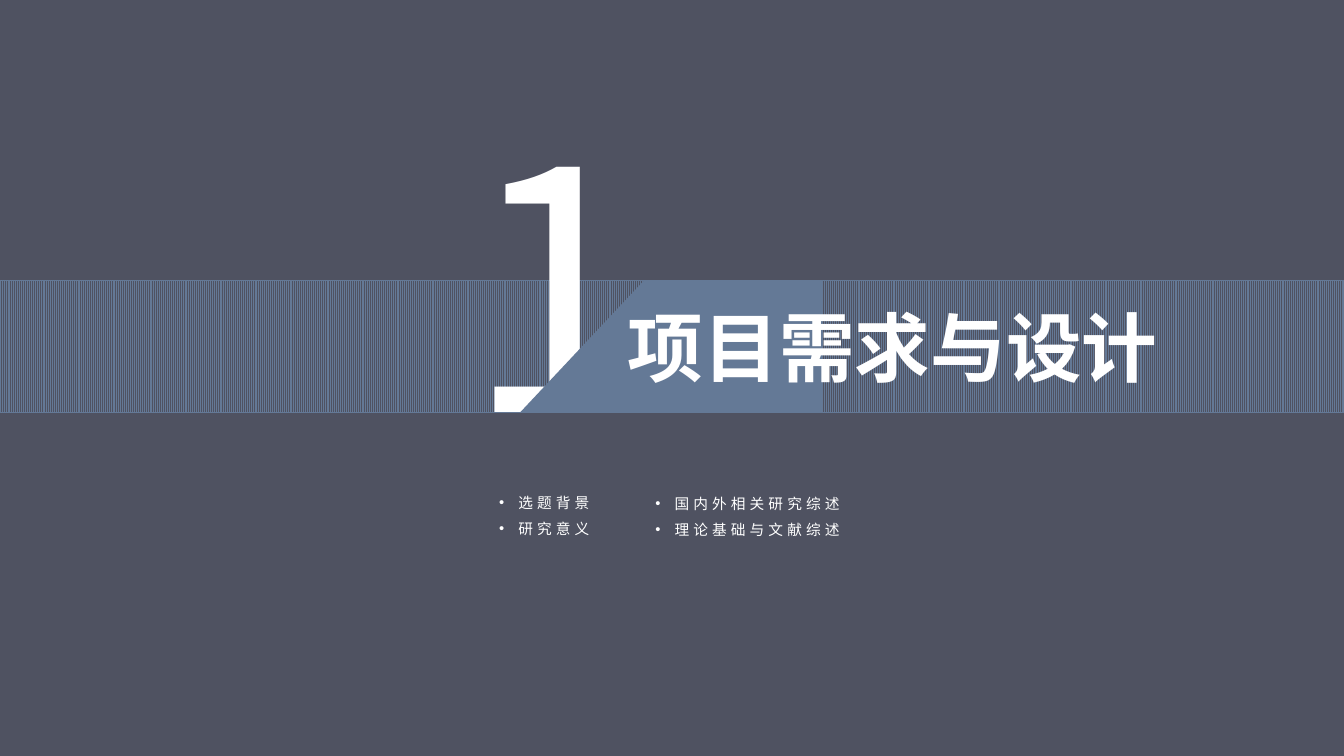
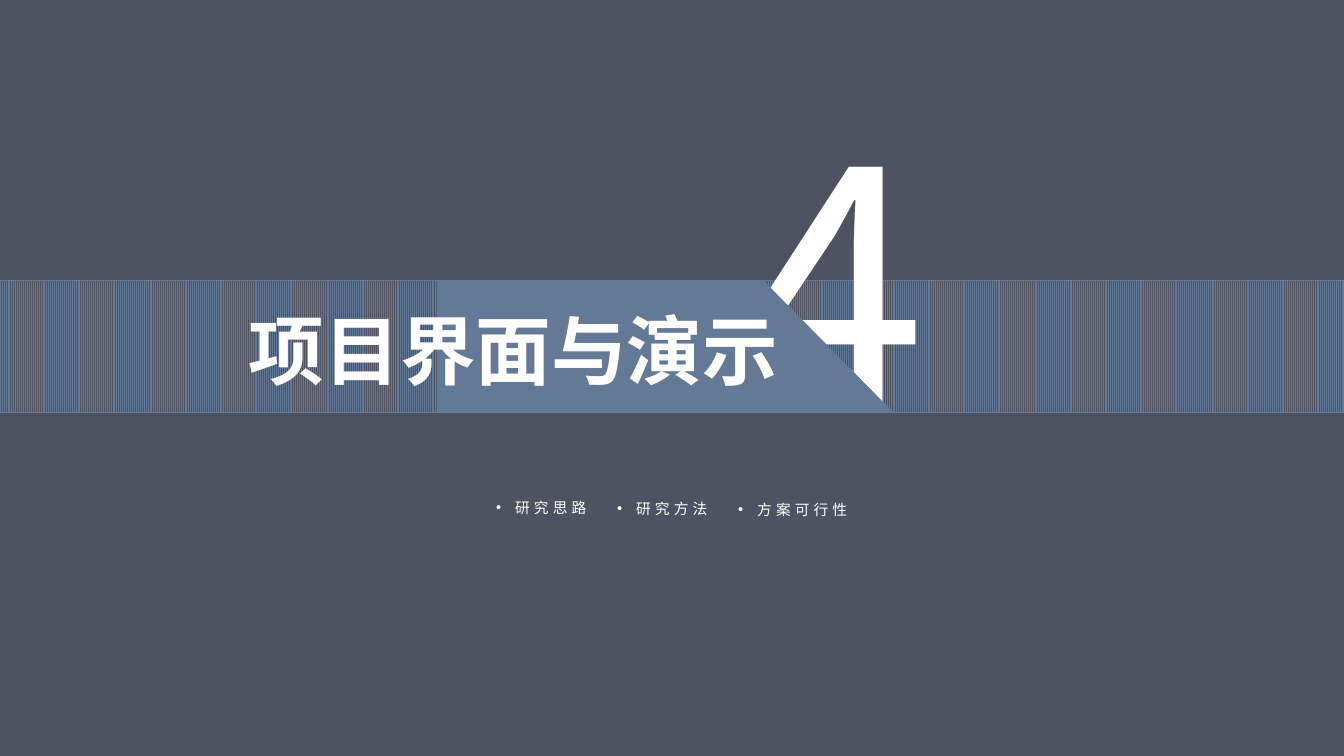
from dataclasses import dataclass
from lxml.etree import SubElement
from pptx import Presentation
from pptx.dml.color import RGBColor
from pptx.enum.dml import MSO_PATTERN
from pptx.enum.shapes import MSO_SHAPE
from pptx.enum.text import MSO_AUTO_SIZE
from pptx.oxml.ns import qn
from pptx.util import Inches, Pt


@dataclass(frozen=True)
class Theme:
    backdrop: RGBColor = RGBColor(0x4F, 0x52, 0x61)
    accent: RGBColor = RGBColor(0x64, 0x79, 0x96)
    text: RGBColor = RGBColor(0xFF, 0xFF, 0xFF)
    heading_font: str = "Noto Sans CJK SC"
    topic_font: str = "Roboto Condensed"
    number_size: float = 239
    title_size: float = 54
    topic_size: float = 10.5
    topic_tracking: int = 300


THEME = Theme()
WIDTH, HEIGHT = 13.33, 7.5
BAND_TOP, BAND_HEIGHT = 2.78, 1.31
BAND_BOTTOM = BAND_TOP + BAND_HEIGHT

SECTIONS = [
    {
        "number": "1",
        "number_left": 4.52,
        "title": "项目需求与设计",
        "title_at": (6.13, 2.94),
        "panel_top": (6.39, 8.15),
        "panel_bottom": (5.16, 8.15),
        "topics": [
            ((4.95, 4.81, 2.05, 0.5), ["选题背景", "研究意义"]),
            ((6.5, 4.82, 2.05, 0.5), ["国内外相关研究综述", "理论基础与文献综述"]),
        ],
    },
    {
        "number": "4",
        "number_left": 7.25,
        "title": "项目界面与演示",
        "title_at": (2.37, 2.97),
        "panel_top": (4.33, 7.57),
        "panel_bottom": (4.33, 8.86),
        "topics": [
            ((4.92, 4.86, 1.04, 0.23), ["研究思路"]),
            ((6.12, 4.87, 1.04, 0.23), ["研究方法"]),
            ((7.32, 4.88, 1.28, 0.23), ["方案可行性"]),
        ],
    },
]


def add_bullet(paragraph):
    props = paragraph._p.get_or_add_pPr()
    props.set("marL", str(Inches(0.19)))
    props.set("indent", str(-Inches(0.19)))
    color = SubElement(props, qn("a:buClr"))
    SubElement(color, qn("a:srgbClr")).set("val", str(THEME.text))
    SubElement(props, qn("a:buFont")).set("typeface", "Arial")
    SubElement(props, qn("a:buChar")).set("char", "•")
    paragraph.line_spacing = 1.5


def add_text(slide, at, lines, *, size, font, bold=False, bulleted=False, tracking=0):
    box = slide.shapes.add_textbox(*map(Inches, at))
    frame = box.text_frame
    frame.word_wrap = bulleted
    frame.auto_size = MSO_AUTO_SIZE.SHAPE_TO_FIT_TEXT
    if bulleted:
        frame.margin_left = frame.margin_right = 0
        frame.margin_top = frame.margin_bottom = 0
    for index, line in enumerate(lines):
        paragraph = frame.add_paragraph() if index else frame.paragraphs[0]
        if bulleted:
            add_bullet(paragraph)
        run = paragraph.add_run()
        run.text = line
        run.font.size = Pt(size)
        run.font.name = font
        run.font.bold = bold
        run.font.color.rgb = THEME.text
        props = run._r.get_or_add_rPr()
        SubElement(props, qn("a:ea")).set("typeface", THEME.heading_font)
        if tracking:
            props.set("spc", str(tracking))


def add_band(slide):
    band = slide.shapes.add_shape(
        MSO_SHAPE.RECTANGLE, 0, Inches(BAND_TOP), Inches(WIDTH), Inches(BAND_HEIGHT)
    )
    band.shadow.inherit = False
    band.fill.patterned()
    band.fill.pattern = MSO_PATTERN.LIGHT_VERTICAL
    band.fill.fore_color.rgb = THEME.accent
    band.fill.back_color.rgb = THEME.backdrop
    band.line.color.rgb = THEME.accent
    band.line.width = Pt(1)


def add_panel(slide, top, bottom):
    corners = [(x, BAND_TOP) for x in top] + [(x, BAND_BOTTOM) for x in reversed(bottom)]
    start, *others = [(Inches(x), Inches(y)) for x, y in corners]
    outline = slide.shapes.build_freeform(*start)
    outline.add_line_segments(others, close=True)
    panel = outline.convert_to_shape()
    panel.shadow.inherit = False
    panel.fill.solid()
    panel.fill.fore_color.rgb = THEME.accent
    panel.line.fill.background()


def add_section(deck, section):
    slide = deck.slides.add_slide(deck.slide_layouts[6])
    add_band(slide)
    add_text(slide, (section["number_left"], 0.72, 2.24, 4.12), [section["number"]],
             size=THEME.number_size, font=THEME.heading_font)
    add_panel(slide, section["panel_top"], section["panel_bottom"])
    add_text(slide, (*section["title_at"], 5.5, 1.01), [section["title"]],
             size=THEME.title_size, font=THEME.heading_font, bold=True)
    for at, topics in section["topics"]:
        add_text(slide, at, topics, size=THEME.topic_size, font=THEME.topic_font,
                 bulleted=True, tracking=THEME.topic_tracking)


def main():
    deck = Presentation()
    deck.slide_width, deck.slide_height = Inches(WIDTH), Inches(HEIGHT)
    backdrop = deck.slide_master.background.fill
    backdrop.solid()
    backdrop.fore_color.rgb = THEME.backdrop
    for section in SECTIONS:
        add_section(deck, section)
    deck.save("out.pptx")


if __name__ == "__main__":
    main()
